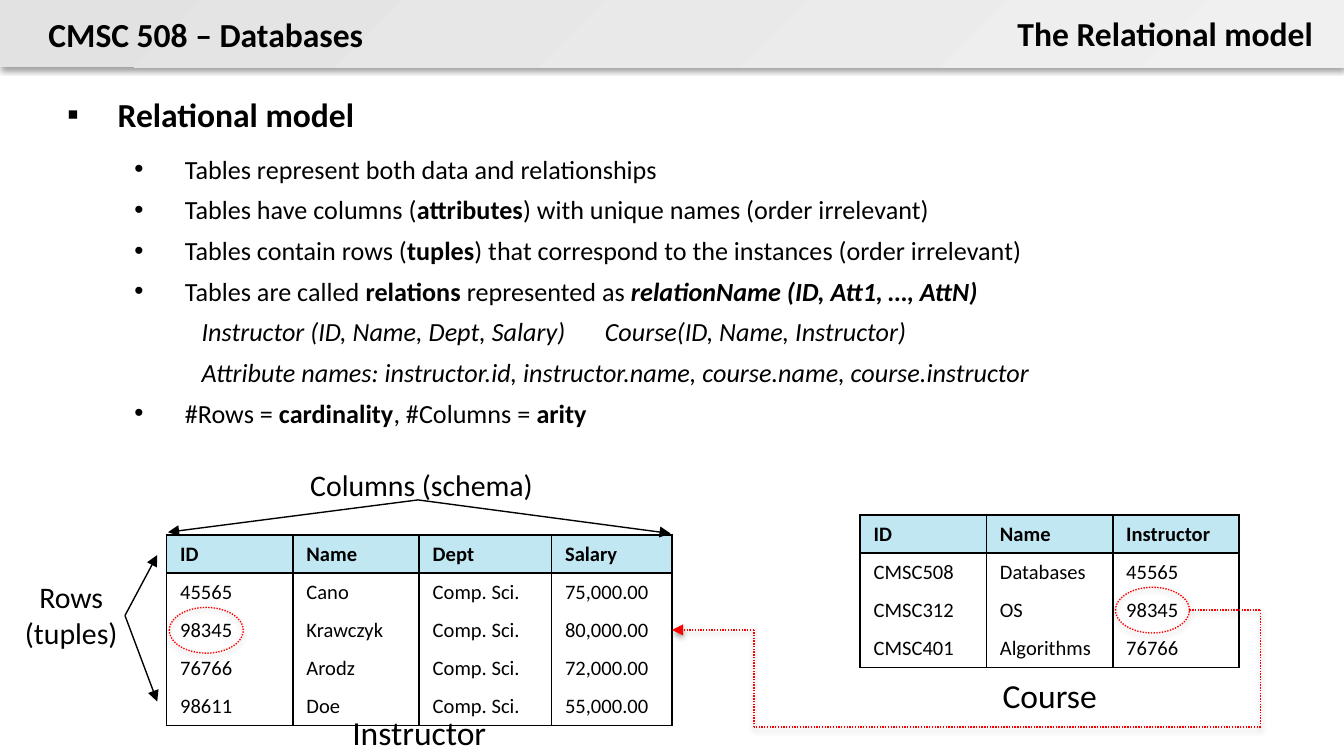
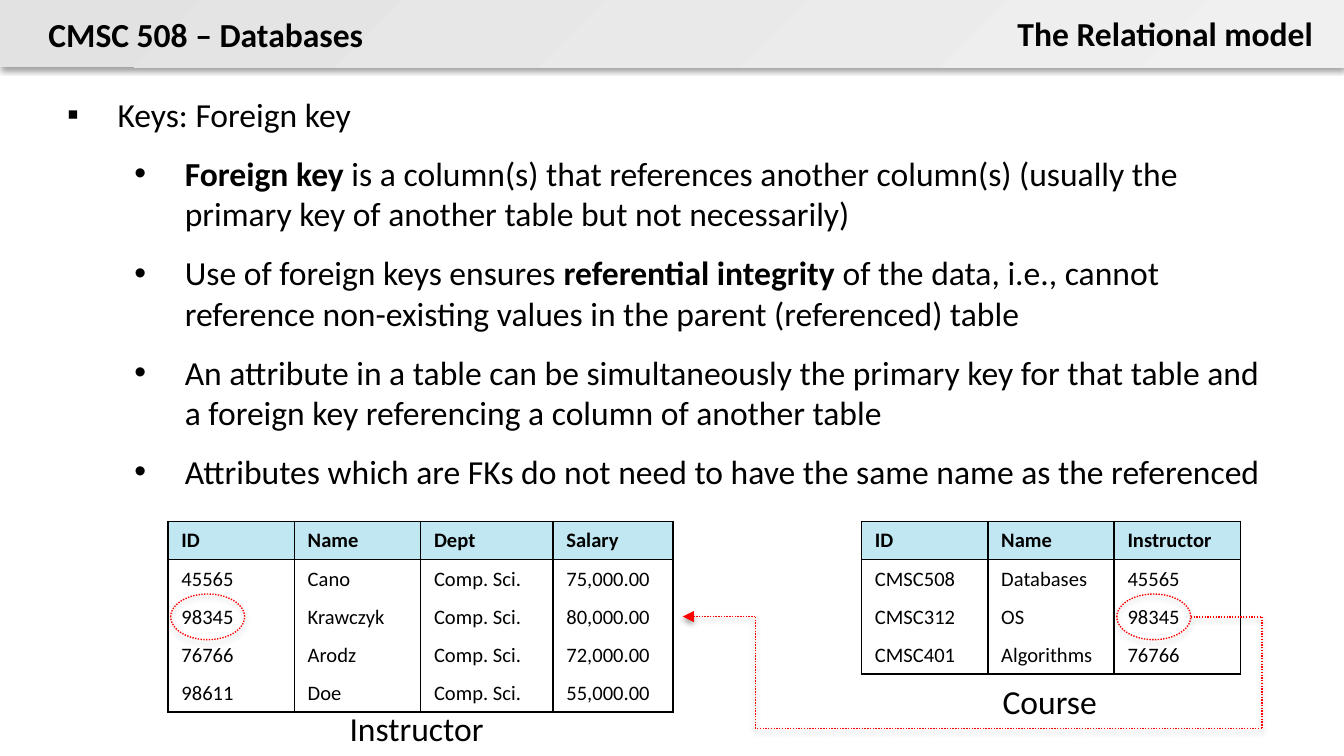
from lxml import etree
from pptx import Presentation
from pptx.dml.color import RGBColor
from pptx.enum.dml import MSO_LINE as Dash
from pptx.enum.shapes import MSO_CONNECTOR as Link, MSO_SHAPE as Shape
from pptx.enum.text import MSO_ANCHOR as Anchor, MSO_AUTO_SIZE as Fit, PP_ALIGN as Align
from pptx.oxml import parse_xml
from pptx.oxml.ns import nsdecls, qn
from pptx.util import Inches, Pt

deck = Presentation()
deck.slide_width, deck.slide_height = Inches(10), Inches(5.625)
unit = deck.slide_width / 100  # square grid, 100 columns wide

INK, RED, HEAD, PAPER = "000000", "FF0000", "C1E8F2", "FFFFFF"
FONT = "Calibri"


def hue(color, code):
    color.rgb = RGBColor.from_string(code)


def grid(*cells):
    return [round(cell * unit) for cell in cells]


# Shared table contents
staff = [
    ["ID", "Name", "Dept", "Salary"],
    ["45565", "Cano", "Comp. Sci.", "75,000.00"],
    ["98345", "Krawczyk", "Comp. Sci.", "80,000.00"],
    ["76766", "Arodz", "Comp. Sci.", "72,000.00"],
    ["98611", "Doe", "Comp. Sci.", "55,000.00"],
]
course = [
    ["ID", "Name", "Instructor"],
    ["CMSC508", "Databases", "45565"],
    ["CMSC312", "OS", "98345"],
    ["CMSC401", "Algorithms", "76766"],
]
staff_cols, course_cols = [9.4, 9.4, 9.85, 8.95], [9.4] * 3
row_high = 2.83

# List levels: indent, first line, bullet
levels = [(3.75, -3.75, "▪"), (8.75, -3.75, "•"), (10, 0, None)]

# Per slide: list of (level, text), where *...* is bold and a leading _ is italic
pages = [
    dict(
        size=14, gap=5, high=27.2,
        staff=(12.4, 39.8), course=(64, 38.3),
        names=[(21.8, 52.5), (68.7, 49.7)],
        low=54.1, turn=56.1, tip=50,
        lines=[
            (0, "*Relational model*"),
            (1, "Tables represent both data and relationships"),
            (1, "Tables have columns (*attributes*) with unique names (order irrelevant)"),
            (1, "Tables contain rows (*tuples*) that correspond to the instances (order irrelevant)"),
            (1, "Tables are called *relations *represented as *_relationName (ID, Att1, …, AttN)*"),
            (2, "_Instructor (ID, Name, Dept, Salary)\tCourse(ID, Name, Instructor)"),
            (2, "_Attribute names: instructor.id, instructor.name, course.name, course.instructor"),
            (1, "#Rows = *cardinality*, #Columns = *arity*"),
        ],
        notes=[
            ("Columns (schema)", (22.1, 34.2, 18.8, 3.7), 16, False, Align.LEFT, False),
            ("Rows\n(tuples)", (0.2, 42.6, 10.2, 6.4), 16, False, Align.CENTER, True),
        ],
        arrows=[
            (31.1, 37.2, 49.9, 39.7), (31.1, 37.2, 12.5, 39.6),
            (9.3, 45.8, 11.7, 41.3), (9.3, 45.8, 11.7, 52.2),
        ],
    ),
    dict(
        size=18, gap=10, high=45.2,
        staff=(12.5, 38.8), course=(64.1, 38.8),
        names=[(21.6, 52.2), (68.7, 50.2)],
        low=54.2, turn=56.2, tip=50.8,
        lines=[
            (0, "Keys: Foreign key"),
            (1, "*Foreign key* is a column(s) that references another column(s) "
                "(usually the primary key of another table but not necessarily)"),
            (1, "Use of foreign keys ensures *referential integrity *of the data, i.e., "
                "cannot reference non-existing values in the parent (referenced) table"),
            (1, "An attribute in a table can be simultaneously the primary key for that "
                "table and a foreign key referencing a column of another table"),
            (1, "Attributes which are FKs do not need to have the same name as the referenced"),
        ],
        notes=[],
        arrows=[],
    ),
]

for page in pages:
    slide = deck.slides.add_slide(deck.slide_layouts[1])
    shapes = slide.shapes
    glow = []  # shapes with a soft shadow, and its opacity

    # Header band, behind the title
    band = shapes.add_shape(Shape.RECTANGLE, *grid(0, 0, 100, 5))
    band.fill.gradient()
    band.fill.gradient_angle = 315
    for stop, code, spot in zip(band.fill.gradient_stops, ("E2E2E2", "F0F0F0"), (0, 1)):
        hue(stop.color, code)
        stop.position = spot
    band.line.fill.background()
    shapes._spTree.insert(2, band._element)
    glow.append((band, 38))

    # Bulleted list
    body = slide.placeholders[1]
    body.left, body.top, body.width, body.height = grid(0, 5, 100, page["high"])
    frame = body.text_frame
    form = dict(margin_left=Inches(0.5), margin_right=Inches(0.5), margin_top=Inches(0.2),
                margin_bottom=0, word_wrap=True, auto_size=Fit.SHAPE_TO_FIT_TEXT)
    for key, val in form.items():
        setattr(frame, key, val)
    for num, (level, text) in enumerate(page["lines"]):
        para = frame.add_paragraph() if num else frame.paragraphs[0]
        form = dict(level=level, space_before=Pt(0), alignment=Align.LEFT,
                    space_after=Pt(page["gap"] if level else 10))
        for key, val in form.items():
            setattr(para, key, val)
        left, first, mark = levels[level]
        props = para._p.get_or_add_pPr()
        props.set("marL", str(grid(left)[0]))
        props.set("indent", str(grid(first)[0]))
        if mark:
            etree.SubElement(props, qn("a:buChar")).set("char", mark)
        else:
            etree.SubElement(props, qn("a:buNone"))
        for odd, part in enumerate(text.split("*")):
            if part:
                run = para.add_run()
                run.text = part.lstrip("_")
                form = dict(name=FONT, size=Pt(page["size"] if level else 18),
                            bold=odd % 2 == 1, italic=part.startswith("_"))
                for key, val in form.items():
                    setattr(run.font, key, val)
                hue(run.font.color, INK)

    # Tables, with a ring round the matching key
    frames, rings = [], []
    for data, cols, spot, ring_x in (
        (staff, staff_cols, page["staff"], 0.2),
        (course, course_cols, page["course"], 19),
    ):
        x, y = spot
        box = shapes.add_table(len(data), len(cols),
                               *grid(x, y, sum(cols), row_high * len(data)))
        frames.append(box)
        rings.append((x + ring_x, y + 5.4))
        table = box.table
        table.horz_banding = False
        for col, wide in zip(table.columns, cols):
            col.width = grid(wide)[0]
        for r, row in enumerate(data):
            for c, text in enumerate(row):
                cell = table.cell(r, c)
                cell.text = text
                font = cell.text_frame.paragraphs[0].runs[0].font
                font.name, font.size, font.bold = FONT, Pt(11), r == 0
                hue(font.color, INK)
                cell.fill.solid()
                hue(cell.fill.fore_color, PAPER if r else HEAD)
                # Rules: all sides of the head, only the outline below it
                sides = dict(L=True, R=True, T=r < 2, B=r in (0, len(data) - 1))
                props = cell._tc.get_or_add_tcPr()
                for i, (side, drawn) in enumerate(sides.items()):
                    paint = (f'<a:solidFill><a:srgbClr val="{INK}"/></a:solidFill>'
                             if drawn else "<a:noFill/>")
                    props.insert(i, parse_xml(
                        f'<a:ln{side} {nsdecls("a")} w="12700">{paint}</a:ln{side}>'))

    # Title, header label, table names and notes
    labels = [
        ("CMSC 508 – Databases", (2.6, 0.5, 25.7, 4), 18, True, Align.LEFT, False),
        ("The Relational model", (74.5, 0.5, 24.2, 4), 18, True, Align.RIGHT, False),
    ] + page["notes"]
    for text, spot in zip(("Instructor", "Course"), page["names"]):
        labels.append((text, (*spot, 18.8, 4), 18, False, Align.CENTER, True))
    for num, (text, spot, size, bold, side, wrap) in enumerate(labels):
        box = shapes.add_textbox(0, 0, 0, 0) if num else shapes.title
        box.left, box.top, box.width, box.height = grid(*spot)
        frame = box.text_frame
        frame.text = text
        form = dict(word_wrap=wrap, auto_size=Fit.SHAPE_TO_FIT_TEXT, vertical_anchor=Anchor.TOP)
        for key, val in form.items():
            setattr(frame, key, val)
        for para in frame.paragraphs:
            para.alignment = side
            font = para.runs[0].font
            font.name, font.size, font.bold = FONT, Pt(size), bold
            hue(font.color, INK)

    # Rings
    for x, y in rings:
        ring = shapes.add_shape(Shape.OVAL, *grid(x, y, 5.5, 3.4))
        ring.fill.background()
        hue(ring.line.color, RED)
        ring.line.width, ring.line.dash_style = Pt(0.75), Dash.ROUND_DOT
        glow.append((ring, 35))

    # Foreign key route from the course ring to the staff row, and black arrows
    x, y = rings[1]
    start, far = y + 1.7, x + 10.8
    end = page["staff"][1] + row_high * 2.5
    route = [(x + 5.5, start), (far, start), (far, page["low"]),
             (page["turn"], page["low"]), (page["turn"], end), (page["tip"], end)]
    legs = [(*a, *b, RED, b == route[-1]) for a, b in zip(route, route[1:])]
    legs += [(*ends, INK, True) for ends in page["arrows"]]
    for *ends, code, tip in legs:
        leg = shapes.add_connector(Link.STRAIGHT, *grid(*ends))
        hue(leg.line.color, code)
        leg.line.width = Pt(0.75)
        if code == RED:
            leg.line.dash_style = Dash.ROUND_DOT
            glow.append((leg, 38))
        else:
            etree.SubElement(leg._element.spPr, qn("a:effectLst"))
        if tip:
            etree.SubElement(leg.line._get_or_add_ln(), qn("a:tailEnd")).set("type", "triangle")
        if code == RED and tip and page["tip"] == 50:
            leg.end_connect(frames[0], 3)

    # Soft shadows
    for item, dim in glow:
        item._element.spPr.append(parse_xml(
            f'<a:effectLst {nsdecls("a")}><a:outerShdw blurRad="40000" dist="20000" '
            f'dir="5400000" rotWithShape="0"><a:srgbClr val="{INK}">'
            f'<a:alpha val="{dim * 1000}"/></a:srgbClr></a:outerShdw></a:effectLst>'))

deck.save("out.pptx")
